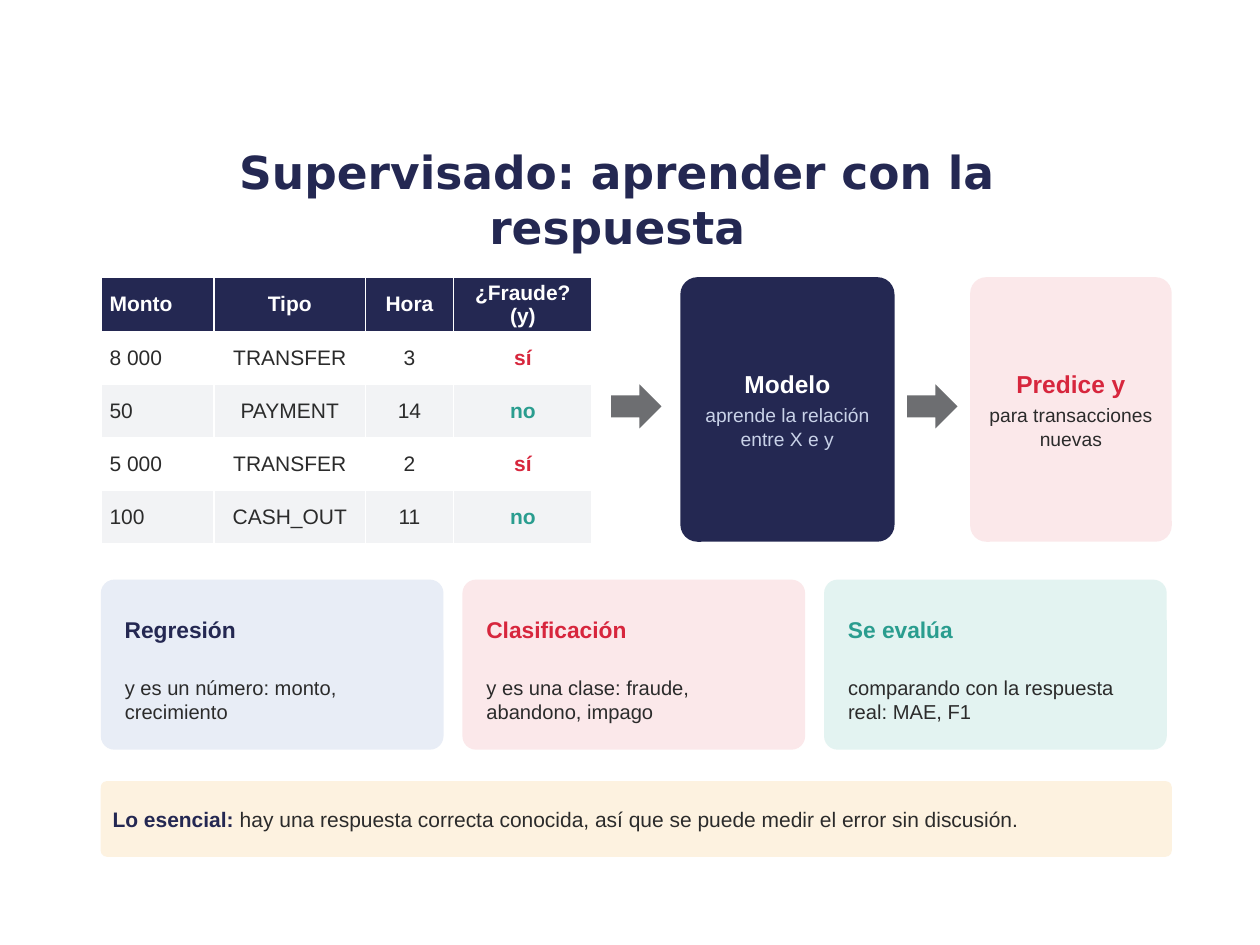
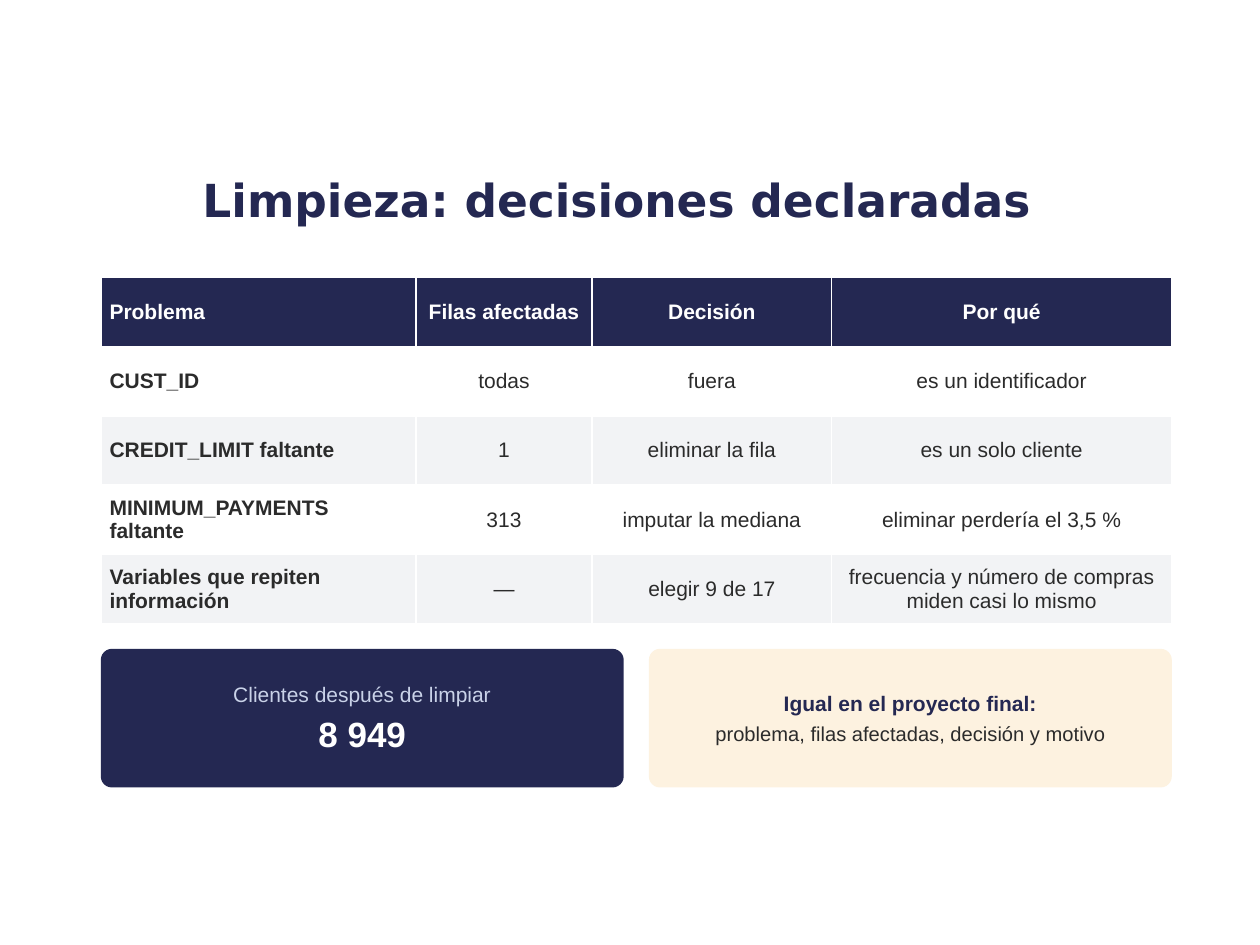
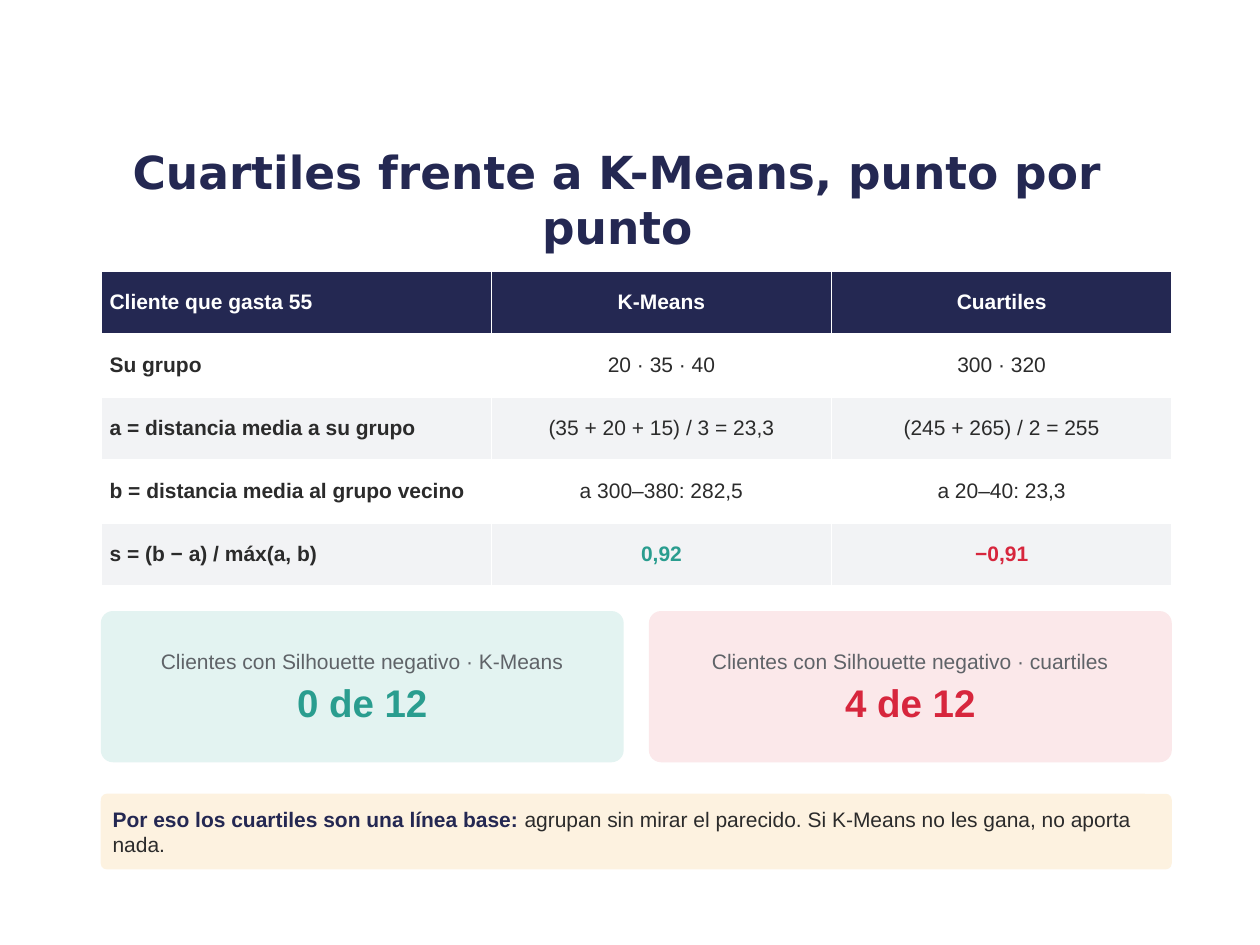
import pptx
import pptx.dml.color
import pptx.enum.shapes
import pptx.enum.text
import pptx.util

SHAPE = pptx.enum.shapes.MSO_SHAPE
ALIGN = pptx.enum.text.PP_ALIGN
ANCHOR = pptx.enum.text.MSO_ANCHOR
FIT = pptx.enum.text.MSO_AUTO_SIZE

# Shared palette
NAVY, RED, TEAL = "242852", "D7263D", "2A9D8F"
PALE_BLUE, PALE_RED, PALE_TEAL, CREAM = "E8EDF6", "FBE8EA", "E3F3F1", "FDF2E0"
INK, GRAY, ARROW_GRAY, MIST = "2B2B2B", "5F6368", "6D6E71", "C9D2E8"
WHITE, STRIPE = "FFFFFF", "F2F3F5"

# Shared grid: 100 columns by 75 rows, content between LEFT and LEFT + FULL
COLUMNS, ROWS = 100, 75
LEFT, FULL = 8, 85
PAIR_GAP = 2
PAIR_WIDTH = (FULL - PAIR_GAP) / 2


def rgb(hex_color):
    return pptx.dml.color.RGBColor.from_string(hex_color)


class Deck:
    """Holds the style and the slide being built; lengths are grid columns and rows."""

    body_font, title_font = "Arial", "DejaVu Sans"

    def __init__(self):
        self.deck = pptx.Presentation()
        self.deck.slide_width = pptx.util.Inches(10)
        self.deck.slide_height = pptx.util.Inches(7.5)
        self.slide = None

    def x(self, columns):
        return round(self.deck.slide_width * columns / COLUMNS)

    def y(self, rows):
        return round(self.deck.slide_height * rows / ROWS)

    def box(self, left, top, width, height):
        return self.x(left), self.y(top), self.x(width), self.y(height)

    def style(self, font, size, color, bold=False, name=body_font):
        font.name, font.size, font.bold = name, pptx.util.Pt(size), bold
        font.color.rgb = rgb(color)

    def inset(self, holder, side, end):
        holder.margin_left = holder.margin_right = self.x(side)
        holder.margin_top = holder.margin_bottom = self.y(end)

    def set_lines(self, frame, lines, align=ALIGN.LEFT, after=3):
        """Each line is (text, size, colour, bold)."""
        for index, (text, *look) in enumerate(lines):
            paragraph = frame.add_paragraph() if index else frame.paragraphs[0]
            paragraph.text = text
            paragraph.alignment = align
            paragraph.space_after = pptx.util.Pt(after)
            self.style(paragraph.font, *look)

    def new_slide(self, heading):
        self.slide = self.deck.slides.add_slide(self.deck.slide_layouts[5])
        title = self.slide.shapes.title
        title.left, title.top, title.width, title.height = self.box(7.5, 11.8, 83, 8)
        frame = title.text_frame
        frame.text = heading
        frame.auto_size = FIT.NONE
        frame.vertical_anchor = ANCHOR.MIDDLE
        frame.paragraphs[0].alignment = ALIGN.CENTER
        self.style(frame.paragraphs[0].font, 26, NAVY, True, self.title_font)

    def shape(self, kind, place, fill):
        shape = self.slide.shapes.add_shape(kind, *self.box(*place))
        shape.shadow.inherit = False
        shape.fill.solid()
        shape.fill.fore_color.rgb = rgb(fill)
        shape.line.fill.background()
        return shape

    def arrow(self, left, top):
        self.shape(SHAPE.RIGHT_ARROW, (left, top, 4, 3.5), ARROW_GRAY)

    def panel(self, place, fill, lines=(), align=ALIGN.CENTER):
        panel = self.shape(SHAPE.ROUNDED_RECTANGLE, place, fill)
        panel.adjustments[0] = 0.08
        frame = panel.text_frame
        frame.word_wrap = True
        frame.vertical_anchor = ANCHOR.MIDDLE
        self.inset(frame, 0.8, 0.8)
        self.set_lines(frame, lines, align)
        return frame

    def pair(self, top, height, panels):
        """Two equal panels side by side."""
        for index, (fill, lines) in enumerate(panels):
            left = LEFT + index * (PAIR_WIDTH + PAIR_GAP)
            self.panel((left, top, PAIR_WIDTH, height), fill, lines)

    def takeaway(self, top, lead, rest):
        frame = self.panel((LEFT, top, FULL, 6), CREAM, [(lead, 12, INK)], ALIGN.LEFT)
        paragraph = frame.paragraphs[0]
        self.style(paragraph.runs[0].font, 12, NAVY, True)
        conclusion = paragraph.add_run()
        conclusion.text = rest
        self.style(conclusion.font, 12, INK)

    def label(self, place, line, anchor):
        frame = self.slide.shapes.add_textbox(*self.box(*place)).text_frame
        frame.word_wrap = True
        frame.auto_size = FIT.SHAPE_TO_FIT_TEXT
        frame.vertical_anchor = anchor
        self.inset(frame, 0.4, 0.4)
        self.set_lines(frame, [line], after=4)

    def card(self, left, top, fill, accent, heading, detail):
        self.panel((left, top, 27.2, 13.5), fill)
        self.label((left + 1.5, top + 1.2, 24.7, 5.5), (heading, 13, accent, True), ANCHOR.MIDDLE)
        self.label((left + 1.5, top + 7.2, 24.2, 5.5), (detail, 11.5, INK), ANCHOR.TOP)

    def table(self, top, widths, row_height, rows, accents=None, bold_labels=True):
        """First row is the header; accents maps a cell's text to its colour."""
        accents = accents or {}
        place = self.box(LEFT, top, sum(widths), row_height * len(rows))
        table = self.slide.shapes.add_table(len(rows), len(widths), *place).table
        for column, width in zip(table.columns, widths):
            column.width = self.x(width)
        for r, texts in enumerate(rows):
            table.rows[r].height = self.y(row_height)
            for c, text in enumerate(texts):
                cell = table.cell(r, c)
                cell.fill.solid()
                cell.fill.fore_color.rgb = rgb(NAVY if r == 0 else WHITE if r % 2 else STRIPE)
                cell.vertical_anchor = ANCHOR.MIDDLE
                self.inset(cell, 0.7, 0.3)
                color = WHITE if r == 0 else accents.get(text, INK)
                bold = r == 0 or text in accents or (c == 0 and bold_labels)
                align = ALIGN.CENTER if c else ALIGN.LEFT
                self.set_lines(cell.text_frame, [(text, 12, color, bold)], align, after=0)


def supervised(deck):
    deck.new_slide("Supervisado: aprender con la respuesta")

    # Labelled data, model and prediction
    deck.table(22, (9, 12, 7, 11), 4.2, [
        ("Monto", "Tipo", "Hora", "¿Fraude? (y)"),
        ("8 000", "TRANSFER", "3", "sí"),
        ("50", "PAYMENT", "14", "no"),
        ("5 000", "TRANSFER", "2", "sí"),
        ("100", "CASH_OUT", "11", "no"),
    ], {"sí": RED, "no": TEAL}, bold_labels=False)
    deck.arrow(48.5, 30.5)
    deck.panel((54, 22, 17, 21), NAVY, [
        ("Modelo", 14, WHITE, True), ("aprende la relación entre X e y", 11, MIST)])
    deck.arrow(72, 30.5)
    deck.panel((77, 22, 16, 21), PALE_RED, [
        ("Predice y", 14, RED, True), ("para transacciones nuevas", 11, INK)])

    # Kinds of task and evaluation
    cards = [
        (PALE_BLUE, NAVY, "Regresión", "y es un número: monto, crecimiento"),
        (PALE_RED, RED, "Clasificación", "y es una clase: fraude, abandono, impago"),
        (PALE_TEAL, TEAL, "Se evalúa", "comparando con la respuesta real: MAE, F1"),
    ]
    for index, card in enumerate(cards):
        deck.card(LEFT + index * 28.7, 46, *card)

    deck.takeaway(62, "Lo esencial: ", "hay una respuesta correcta conocida, "
                  "así que se puede medir el error sin discusión.")


def cleaning(deck):
    deck.new_slide("Limpieza: decisiones declaradas")

    # Cleaning decisions
    deck.table(22, (25, 14, 19, 27), 5.5, [
        ("Problema", "Filas afectadas", "Decisión", "Por qué"),
        ("CUST_ID", "todas", "fuera", "es un identificador"),
        ("CREDIT_LIMIT faltante", "1", "eliminar la fila", "es un solo cliente"),
        ("MINIMUM_PAYMENTS faltante", "313", "imputar la mediana", "eliminar perdería el 3,5 %"),
        ("Variables que repiten información", "—", "elegir 9 de 17",
         "frecuencia y número de compras miden casi lo mismo"),
    ])

    # Outcome and advice
    deck.pair(51.5, 11, [
        (NAVY, [("Clientes después de limpiar", 12, MIST), ("8 949", 20, WHITE, True)]),
        (CREAM, [("Igual en el proyecto final:", 12, NAVY, True),
                 ("problema, filas afectadas, decisión y motivo", 11.5, INK)]),
    ])


def comparison(deck):
    deck.new_slide("Cuartiles frente a K-Means, punto por punto")

    # Silhouette of one customer
    deck.table(21.5, (31, 27, 27), 5, [
        ("Cliente que gasta 55", "K-Means", "Cuartiles"),
        ("Su grupo", "20 · 35 · 40", "300 · 320"),
        ("a = distancia media a su grupo", "(35 + 20 + 15) / 3 = 23,3", "(245 + 265) / 2 = 255"),
        ("b = distancia media al grupo vecino", "a 300–380: 282,5", "a 20–40: 23,3"),
        ("s = (b − a) / máx(a, b)", "0,92", "−0,91"),
    ], {"0,92": TEAL, "−0,91": RED})

    # Negative counts per method
    methods = [("K-Means", "0 de 12", TEAL, PALE_TEAL), ("cuartiles", "4 de 12", RED, PALE_RED)]
    deck.pair(48.5, 12, [
        (fill, [(f"Clientes con Silhouette negativo · {method}", 12, GRAY),
                (count, 22, accent, True)])
        for method, count, accent, fill in methods
    ])

    deck.takeaway(63, "Por eso los cuartiles son una línea base: ",
                  "agrupan sin mirar el parecido. Si K-Means no les gana, no aporta nada.")


def main():
    deck = Deck()
    for build in (supervised, cleaning, comparison):
        build(deck)
    deck.deck.save("out.pptx")


if __name__ == "__main__":
    main()
